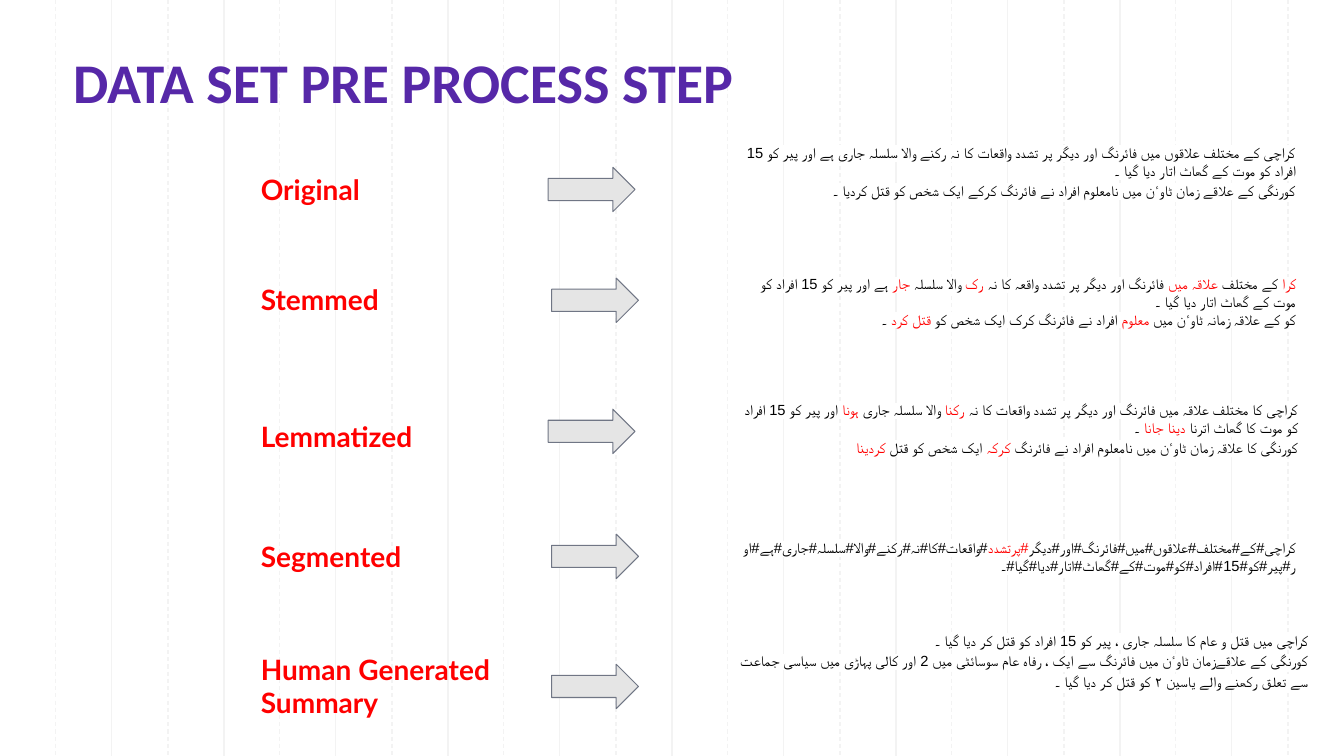
"""Build the data set pre-processing slide."""
import pptx
import pptx.util
import pptx.dml.color
import pptx.enum.dml
import pptx.enum.shapes
import pptx.enum.text
import pptx.oxml.ns
from lxml import etree

RGBColor = pptx.dml.color.RGBColor
PURPLE = RGBColor(0x56, 0x28, 0xA8)
RED = RGBColor(0xFF, 0x00, 0x00)
BLACK = RGBColor(0x00, 0x00, 0x00)
WHITE = RGBColor(0xFF, 0xFF, 0xFF)
GRID = RGBColor(0xF3, 0xF3, 0xF3)
ARROW_FILL = RGBColor(0xE5, 0xE5, 0xE5)
ARROW_LINE = RGBColor(0x70, 0x76, 0x85)

COLS, ROWS = 24, 15
LABEL_COL, TEXT_COL = 4.48, 13.01

STEPS = [
    dict(label="Original", label_box=(3.22, 3.28, 1.08), arrow=(9.79, 3.32),
         text_box=(2.66, 10.31, 2.74), spacing=1.15, text=[
             "کراچی کے مختلف علاقوں میں فائرنگ اور دیگر پر تشدد واقعات کا نہ رکنے والا سلسلہ جاری ہے اور پیر کو 15 افراد کو موت کے گھاٹ اتار دیا گیا ۔",
             "کورنگی کے علاقے زمان ٹاوٴن میں نامعلوم افراد نے فائرنگ کرکے ایک شخص کو قتل کردیا ۔"]),
    dict(label="Stemmed", label_box=(5.4, 3.28, 1.08), arrow=(9.85, 5.52),
         text_box=(5.26, 10.31, 2.18), spacing=1.0, text=[
             "|کرا| کے مختلف |علاقہ میں| فائرنگ اور دیگر پر تشدد واقعہ کا نہ| رک| والا سلسلہ |جار| ہے اور پیر کو 15 افراد کو موت کے گھاٹ اتار دیا گیا ۔",
             "کو کے علاقہ زمانہ ٹاوٴن میں |معلوم |افراد نے فائرنگ کرک ایک شخص کو| قتل کرد| ۔"]),
    dict(label="Lemmatized", label_box=(8.12, 3.28, 1.08), arrow=(9.79, 8.12),
         text_box=(7.76, 10.35, 2.28), spacing=1.15, text=[
             "کراچی کا مختلف علاقہ میں فائرنگ اور دیگر پر تشدد واقعات کا نہ |رکنا| والا سلسلہ جاری| ہونا| اور پیر کو 15 افراد کو موت کا گھاٹ اترنا| دینا جانا| ۔",
             "کورنگی کا علاقہ زمان ٹاوٴن میں نامعلوم افراد نے فائرنگ |کرکہ| ایک شخص کو قتل |کردینا"]),
    dict(label="Segmented", label_box=(10.5, 3.28, 1.08), arrow=(9.85, 10.6),
         text_box=(10.5, 10.31, 2.34), spacing=1.0, text=[
             "کراچی#کے#مختلف#علاقوں#میں#فائرنگ#اور#دیگر|#پرتشدد|#واقعات#کا#نہ#رکنے#والا#سلسلہ#جاری#ہے#اور#پیر#کو#15#افراد#کو#موت#کے#گھاٹ#اتار#دیا#گیا#۔"]),
    dict(label="Human Generated Summary", label_box=(12.74, 4.77, 1.76), arrow=(9.85, 13.18),
         text_box=(12.34, 10.53, 2.8), spacing=1.15, text=[
             "کراچی میں قتل و عام کا سلسلہ جاری ، پیر کو 15 افراد کو قتل کر دیا گیا ۔",
             "کورنگی کے علاقےزمان ٹاوٴن میں فائرنگ سے ایک ، رفاہ عام سوسائٹی میں 2 اور کالی پہاڑی میں سیاسی جماعت سے تعلق رکھنے والے یاسین ۲ کو قتل کر دیا گیا ۔"]),
]


def add_run(p, text, font, size, color, bold=False, highlight=None, cs=None):
    """Append a formatted run to a paragraph."""
    r = p.add_run()
    r.text = text
    r.font.size = pptx.util.Pt(size)
    r.font.bold = bold
    r.font.color.rgb = color
    qn = pptx.oxml.ns.qn
    rPr = r.font.fill and r._r.get_or_add_rPr()
    if highlight is not None:
        hl = etree.SubElement(rPr, qn("a:highlight"))
        etree.SubElement(hl, qn("a:srgbClr"), val=str(highlight))
    etree.SubElement(rPr, qn("a:latin"), typeface=font)
    if cs:
        etree.SubElement(rPr, qn("a:cs"), typeface=cs)


class Deck:
    """Hold the slide, its grid and its style."""

    def __init__(self, prs):
        """Add a blank slide and measure its grid."""
        self.s = prs.slides.add_slide(prs.slide_layouts[6])
        self.col = prs.slide_width / COLS
        self.row = prs.slide_height / ROWS

    def box(self, x, y, w, h):
        """Turn grid units into slide lengths."""
        return (round(x * self.col), round(y * self.row),
                round(w * self.col), round(h * self.row))

    def grid_line(self, x, dashed):
        """Draw one vertical guide."""
        x, top, _, bottom = self.box(x, 0, 0, ROWS)
        sp = self.s.shapes.add_connector(
            pptx.enum.shapes.MSO_CONNECTOR.STRAIGHT, x, top, x, bottom)
        sp.line.color.rgb = GRID
        sp.line.width = pptx.util.Pt(0.75)
        if dashed:
            sp.line.dash_style = pptx.enum.dml.MSO_LINE.DASH
        etree.SubElement(sp._element.spPr, pptx.oxml.ns.qn("a:effectLst"))

    def frame(self, x, y, w, h, inset=0.1):
        """Add a wrapping text box and return its text frame."""
        tf = self.s.shapes.add_textbox(*self.box(x, y, w, h)).text_frame
        tf.word_wrap = True
        tf.margin_left = tf.margin_right = pptx.util.Inches(0.1)
        tf.margin_top = tf.margin_bottom = pptx.util.Inches(inset)
        return tf

    def title(self, text):
        """Write the slide title."""
        tf = self.frame(1.13, 0.74, 15.82, 1.72, inset=0.05)
        tf.vertical_anchor = pptx.enum.text.MSO_ANCHOR.MIDDLE
        add_run(tf.paragraphs[0], text, "Calibri", 40, PURPLE, bold=True)

    def label(self, text, y, w, h):
        """Write the name of a step."""
        tf = self.frame(LABEL_COL, y, w, h)
        tf.auto_size = pptx.enum.text.MSO_AUTO_SIZE.SHAPE_TO_FIT_TEXT
        add_run(tf.paragraphs[0], text, "Lato", 20, RED, bold=True)

    def arrow(self, x, y):
        """Draw a block arrow."""
        sp = self.s.shapes.add_shape(
            pptx.enum.shapes.MSO_SHAPE.RIGHT_ARROW, *self.box(x, y, 1.55, 0.88))
        sp.shadow.inherit = False
        sp.fill.solid()
        sp.fill.fore_color.rgb = ARROW_FILL
        sp.line.color.rgb = ARROW_LINE
        sp.line.width = pptx.util.Pt(0.75)

    def sample(self, lines, y, w, h, spacing):
        """Write right-to-left lines, with every second part between bars in red."""
        tf = self.frame(TEXT_COL, y, w, h)
        tf.auto_size = pptx.enum.text.MSO_AUTO_SIZE.SHAPE_TO_FIT_TEXT
        for i, line in enumerate(lines):
            p = tf.add_paragraph() if i else tf.paragraphs[0]
            p.alignment = pptx.enum.text.PP_ALIGN.RIGHT
            p._p.get_or_add_pPr().set("rtl", "1")
            if i:
                p.line_spacing = spacing
            for j, part in enumerate(line.split("|")):
                if part:
                    add_run(p, part, "Courier New", 10.5, RED if j % 2 else BLACK,
                            highlight=WHITE, cs="Arial")


def main():
    """Build and save the slide."""
    prs = pptx.Presentation()
    prs.slide_width = pptx.util.Inches(13.33)
    prs.slide_height = pptx.util.Inches(7.5)
    deck = Deck(prs)
    for first, dashed in ((2, False), (1, True)):
        for x in range(first, COLS, 2):
            deck.grid_line(x, dashed)
    deck.title("DATA SET PRE PROCESS STEP")
    for step in STEPS:
        deck.label(step["label"], *step["label_box"])
        deck.arrow(*step["arrow"])
        deck.sample(step["text"], *step["text_box"], step["spacing"])
    prs.save("out.pptx")


if __name__ == "__main__":
    main()
